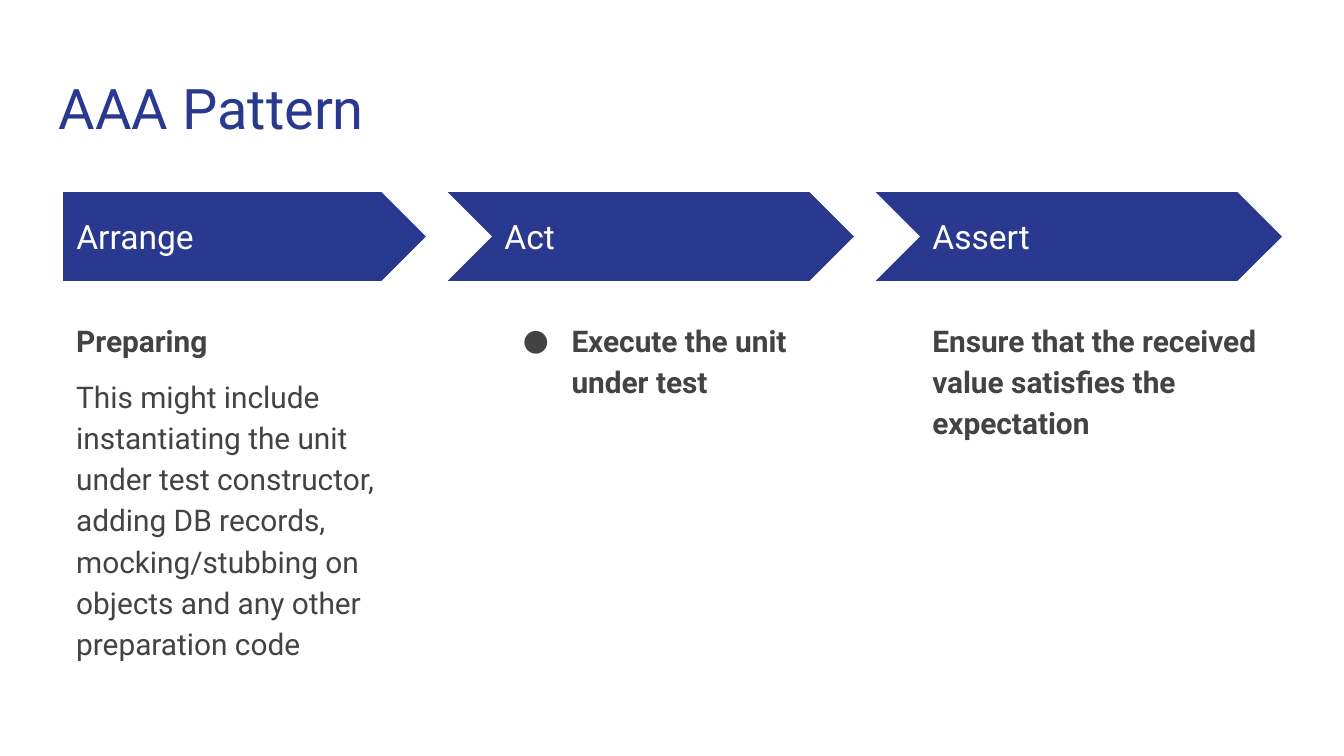
"""Build the AAA Pattern slide: three process arrows with notes below."""
from lxml.etree import SubElement
from pptx import Presentation
from pptx.dml.color import RGBColor
from pptx.enum.shapes import MSO_SHAPE
from pptx.enum.text import MSO_ANCHOR
from pptx.oxml.ns import qn
from pptx.util import Pt

COLORS = {"navy": "2A3990", "white": "FFFFFF", "body": "434343"}
STEPS = [
    ("Arrange", [
        ("Preparing", True),
        ("This might include instantiating the unit under test constructor, "
         "adding DB records, mocking/stubbing on objects and any other "
         "preparation code", False),
    ], False),
    ("Act", [("Execute the unit under test", True)], True),
    ("Assert", [("Ensure that the received value satisfies the expectation", True)], False),
]
LEFT, PITCH, COLUMN_WIDTH = 33.8, 229.3, 194.4
NOTCH = 23.2


def add_frame(left, top, width, height, anchor=MSO_ANCHOR.TOP):
    frame = slide.shapes.add_textbox(Pt(left), Pt(top), Pt(width), Pt(height)).text_frame
    frame.word_wrap = True
    frame.vertical_anchor = anchor
    frame.margin_left = frame.margin_right = Pt(7.2)
    frame.margin_top = frame.margin_bottom = Pt(7.2)
    return frame


def add_run(paragraph, text, size, color, bold=False):
    run = paragraph.add_run()
    run.text = text
    run.font.name = "Roboto"
    run.font.size = Pt(size)
    run.font.bold = bold
    run.font.color.rgb = RGBColor.from_string(COLORS[color])


prs = Presentation()
prs.slide_width, prs.slide_height = Pt(720), Pt(405)
slide = prs.slides.add_slide(prs.slide_layouts[6])

title = add_frame(24.5, 32.4, 671, 47.5)
add_run(title.paragraphs[0], "AAA Pattern", 30, "navy")

for index, (step, notes, bulleted) in enumerate(STEPS):
    left = LEFT + index * PITCH
    notch = NOTCH if index else 0
    kind = MSO_SHAPE.CHEVRON if index else MSO_SHAPE.PENTAGON
    arrow = slide.shapes.add_shape(
        kind, Pt(left - notch), Pt(103), Pt(COLUMN_WIDTH + notch), Pt(47.5))
    arrow.adjustments[0] = 0.5
    arrow.shadow.inherit = False
    arrow.fill.solid()
    arrow.fill.fore_color.rgb = RGBColor.from_string(COLORS["navy"])
    arrow.line.fill.background()

    heading = add_frame(left, 114.5, 178, 24.5, MSO_ANCHOR.MIDDLE)
    add_run(heading.paragraphs[0], step, 18, "white")

    details = add_frame(left, 162.7, COLUMN_WIDTH, 208.8)
    for position, (note, bold) in enumerate(notes):
        paragraph = details.add_paragraph() if position else details.paragraphs[0]
        paragraph.line_spacing = 1.15
        paragraph.space_before = Pt(8 if position else 0)
        add_run(paragraph, note, 16, "body", bold)
        if bulleted:
            properties = paragraph._p.get_or_add_pPr()
            properties.set("marL", str(Pt(36)))
            properties.set("indent", str(Pt(-26)))
            bullet_color = SubElement(properties, qn("a:buClr"))
            SubElement(bullet_color, qn("a:srgbClr"), val=COLORS["body"])
            SubElement(properties, qn("a:buFont"), typeface="Roboto")
            SubElement(properties, qn("a:buChar"), char="●")

prs.save("out.pptx")
